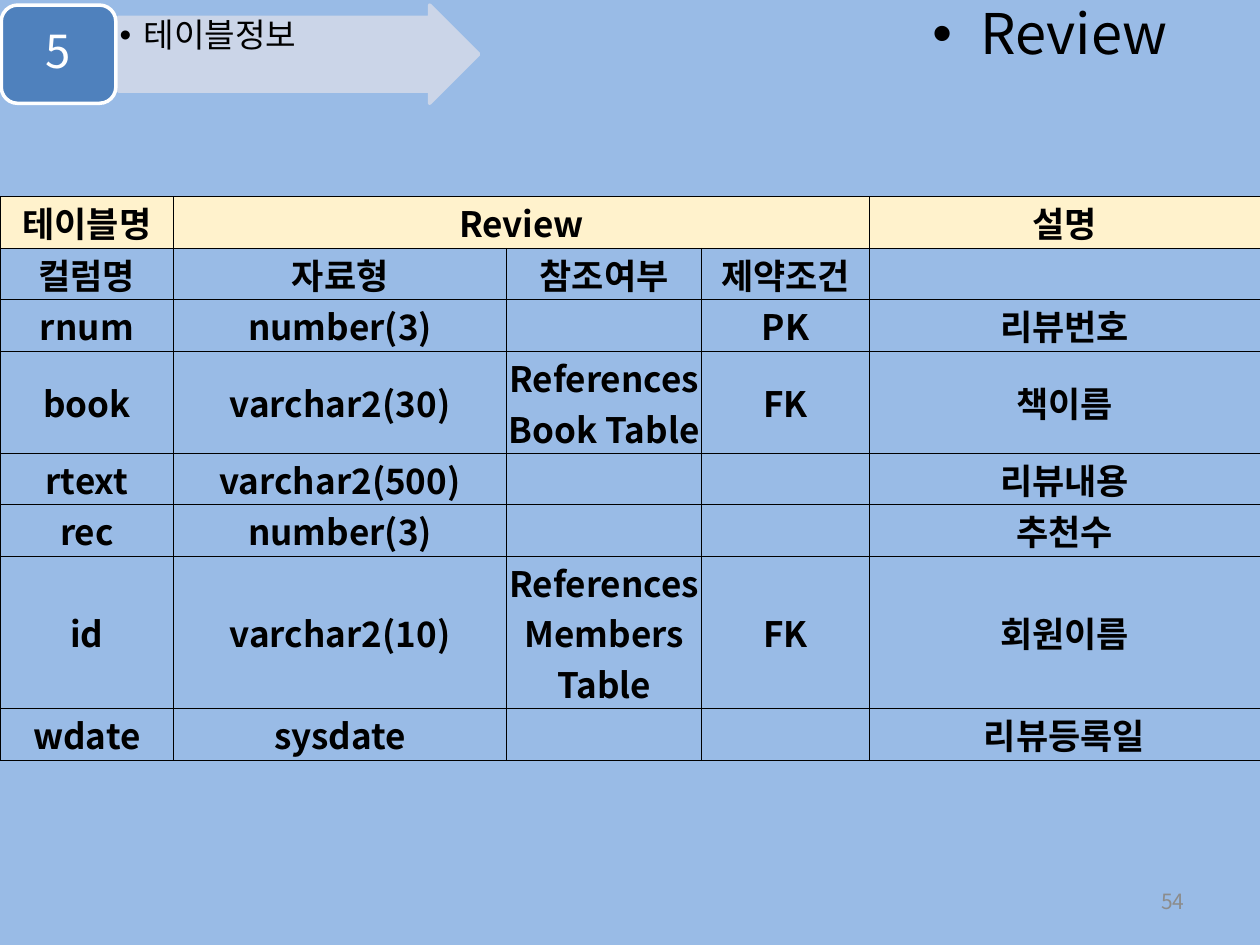
from dataclasses import dataclass

from lxml.etree import SubElement
from pptx import Presentation
from pptx.dml.color import RGBColor as Rgb
from pptx.enum.shapes import MSO_SHAPE as Shape
from pptx.enum.text import MSO_ANCHOR as Anchor, MSO_AUTO_SIZE as AutoSize, PP_ALIGN as Align
from pptx.oxml.ns import qn
from pptx.util import Inches, Pt


@dataclass(frozen=True)
class Theme:
    """Colours, font and type sizes of the slide."""
    font: str = "Noto Sans CJK KR"
    backdrop: str = "99BBE6"
    header: str = "FFF2CC"
    ink: str = "000000"
    light: str = "FFFFFF"
    muted: str = "8C8C8C"
    badge: str = "4F81BD"
    arrow: str = "CBD5E8"
    title: int = 32
    number: int = 26
    cell: int = 20
    section: int = 19
    footer: int = 12


THEME = Theme()
COLUMNS = (1.38, 2.64, 1.55, 1.33, 3.1)
ROW_HEIGHT = 0.41
ROWS = (
    ("테이블명", "Review", "", "", "설명"),
    ("컬럼명", "자료형", "참조여부", "제약조건", ""),
    ("rnum", "number(3)", "", "PK", "리뷰번호"),
    ("book", "varchar2(30)", "References Book Table", "FK", "책이름"),
    ("rtext", "varchar2(500)", "", "", "리뷰내용"),
    ("rec", "number(3)", "", "", "추천수"),
    ("id", "varchar2(10)", "References Members Table", "FK", "회원이름"),
    ("wdate", "sysdate", "", "", "리뷰등록일"),
)


def apply(target, values):
    """Set every attribute named in a dict of format values."""
    for name, value in values.items():
        setattr(target, name, value)


def margins(side, top):
    """Return equal side and equal top and bottom margins."""
    return {"margin_left": Inches(side), "margin_right": Inches(side),
            "margin_top": Inches(top), "margin_bottom": Inches(top)}


def place(box, left, top, width, height):
    """Move and size a shape in inches."""
    apply(box, {"left": Inches(left), "top": Inches(top),
                "width": Inches(width), "height": Inches(height)})


def write(para, text, size, color, align, bold=False, spacing=None):
    """Write one formatted span into a paragraph."""
    apply(para, {"alignment": align, "line_spacing": spacing})
    span = para.add_run()
    span.text = text
    apply(span.font, {"name": THEME.font, "size": Pt(size), "bold": bold})
    span.font.color.rgb = Rgb.from_string(color)
    SubElement(span.font._element, qn("a:ea"), typeface=THEME.font)


def fill_frame(box, text, size, color, align, anchor, side=0.1, top=0.05, spacing=None):
    """Format a text frame and write its single paragraph."""
    frame = box.text_frame
    apply(frame, {"word_wrap": True, "auto_size": AutoSize.NONE,
                  "vertical_anchor": anchor, **margins(side, top)})
    write(frame.paragraphs[0], text, size, color, align, spacing=spacing)


def add_bullet(box, indent):
    """Give the first paragraph a hanging round bullet."""
    props = box.text_frame.paragraphs[0]._p.get_or_add_pPr()
    props.set("marL", str(Inches(indent)))
    props.set("indent", str(-Inches(indent)))
    SubElement(props, qn("a:buFont"), typeface="Arial")
    SubElement(props, qn("a:buChar"), char="•")


def add_block(page, kind, bounds, fill, line):
    """Add a filled and outlined preset shape."""
    block = page.shapes.add_shape(kind, *map(Inches, bounds))
    block.shadow.inherit = False
    block.fill.solid()
    block.fill.fore_color.rgb = Rgb.from_string(fill)
    block.line.color.rgb = Rgb.from_string(line)
    block.line.width = Pt(2)
    return block


def add_heading(page):
    """Fill the title and the numbered section arrow."""
    title, section = page.placeholders
    place(title, 7.3, 0, 2.7, 0.59)
    add_bullet(title, 0.38)
    fill_frame(title, "Review", THEME.title, THEME.ink, Align.LEFT, Anchor.TOP, spacing=0.9)
    arrow = add_block(page, Shape.RIGHT_ARROW, (0.94, 0.04, 2.86, 0.78), THEME.arrow, THEME.arrow)
    arrow.adjustments[0] = 0.75
    section.element.addprevious(arrow.element)
    place(section, 0.94, 0.14, 2.57, 0.59)
    add_bullet(section, 0.19)
    fill_frame(section, "테이블정보", THEME.section, THEME.ink, Align.LEFT, Anchor.TOP,
               side=0.01, top=0.01, spacing=0.9)
    badge = add_block(page, Shape.ROUNDED_RECTANGLE, (0.01, 0.04, 0.91, 0.78),
                      THEME.badge, THEME.light)
    fill_frame(badge, "5", THEME.number, THEME.light, Align.CENTER, Anchor.MIDDLE, spacing=0.9)


def add_borders(cell):
    """Draw thin lines on all four sides of a cell."""
    props = cell._tc.get_or_add_tcPr()
    for side in ("lnL", "lnR", "lnT", "lnB"):
        line = SubElement(props, qn(f"a:{side}"), w=str(Pt(0.5)))
        SubElement(SubElement(line, qn("a:solidFill")), qn("a:srgbClr"), val=THEME.ink)


def format_cell(cell, text, is_header):
    """Format one table cell and write its text."""
    add_borders(cell)
    apply(cell, {"vertical_anchor": Anchor.MIDDLE, **margins(0, 0)})
    if is_header:
        cell.fill.solid()
        cell.fill.fore_color.rgb = Rgb.from_string(THEME.header)
    else:
        cell.fill.background()
    if text:
        write(cell.text_frame.paragraphs[0], text, THEME.cell, THEME.ink, Align.CENTER, bold=True)


def add_schema(page):
    """Add the table that describes the columns."""
    bounds = (0, 1.56, sum(COLUMNS), ROW_HEIGHT * len(ROWS))
    table = page.shapes.add_table(len(ROWS), len(COLUMNS), *map(Inches, bounds)).table
    apply(table, {"first_row": False, "horz_banding": False})
    for column, width in zip(table.columns, COLUMNS):
        column.width = Inches(width)
    for index, texts in enumerate(ROWS):
        for cell, text in zip(table.rows[index].cells, texts):
            format_cell(cell, text, index == 0)
    table.cell(0, 1).merge(table.cell(0, 3))


def main():
    """Build and save the slide."""
    deck = Presentation()
    apply(deck, {"slide_width": Inches(10), "slide_height": Inches(7.5)})
    page = deck.slides.add_slide(deck.slide_layouts[1])
    page.background.fill.solid()
    page.background.fill.fore_color.rgb = Rgb.from_string(THEME.backdrop)
    add_schema(page)
    add_heading(page)
    number = page.shapes.add_textbox(*map(Inches, (7.17, 6.95, 2.33, 0.4)))
    fill_frame(number, "54", THEME.footer, THEME.muted, Align.RIGHT, Anchor.MIDDLE)
    deck.save("out.pptx")


if __name__ == "__main__":
    main()
